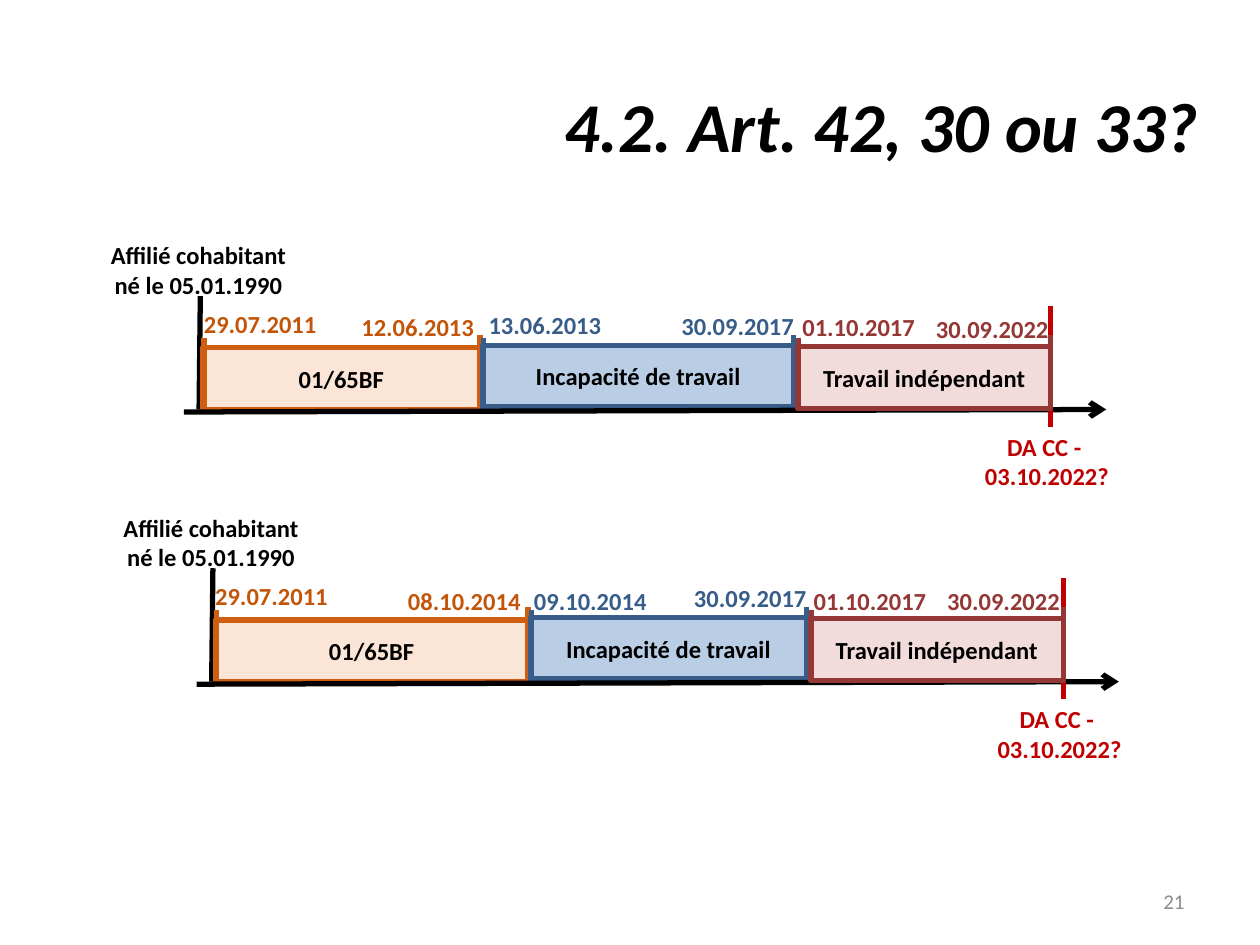
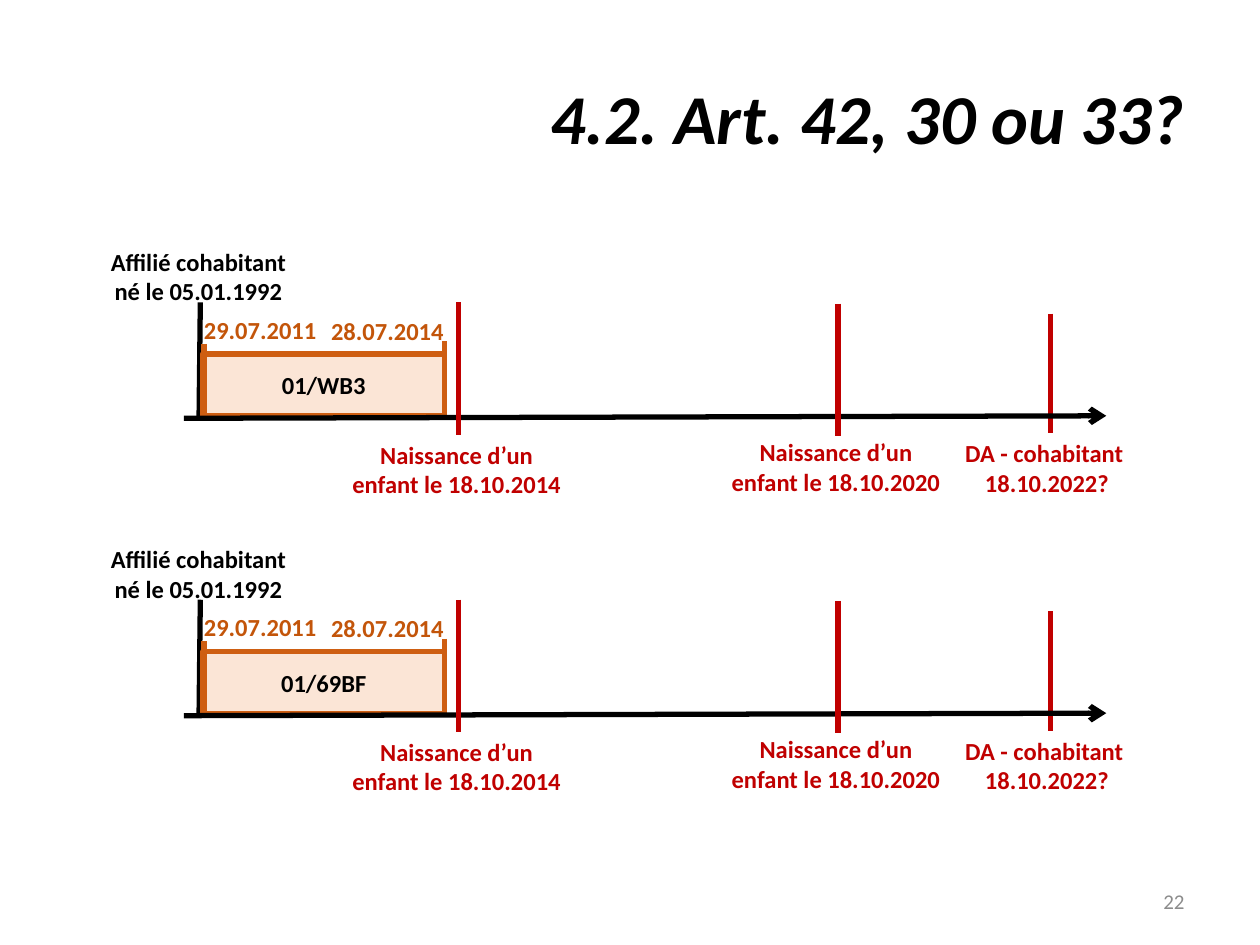
from lxml import etree
from pptx import Presentation
from pptx.dml.color import RGBColor
from pptx.enum.shapes import MSO_CONNECTOR as CONNECTOR, MSO_SHAPE as SHAPE
from pptx.enum.text import MSO_ANCHOR as ANCHOR, MSO_AUTO_SIZE as AUTO_SIZE, PP_ALIGN as ALIGN
from pptx.oxml.ns import qn
from pptx.util import Inches, Pt

COLORS = {
    "black": "000000", "alert": "C00000", "number": "8C8C8C",
    "benefit_fill": "FBE5D6", "benefit_line": "CE5E12", "benefit_date": "C3550A",
    "illness_fill": "B9CDE5", "illness_line": "385D8A", "illness_date": "385D8A",
    "work_fill": "F2DCDB", "work_line": "953735", "work_date": "953735",
}
LABEL = {"name": "Calibri", "size": Pt(14), "bold": True}
TITLE = {"name": "Calibri", "size": Pt(40), "bold": True, "italic": True}
NUMBER = {"name": "Calibri", "size": Pt(12)}
BAR_HEIGHT, TICK_HEIGHT = 0.49, 0.57
START_TICK_TOP, END_TICK_TOP = 2.68, 2.66


def write_text(shape, text, color="black", font=LABEL, align=ALIGN.CENTER, anchor=ANCHOR.MIDDLE):
    frame = shape.text_frame
    frame.text = text
    frame.word_wrap = True
    frame.vertical_anchor = anchor
    for paragraph in frame.paragraphs:
        paragraph.alignment = align
        for name, value in font.items():
            setattr(paragraph.font, name, value)
        paragraph.font.color.rgb = RGBColor.from_string(COLORS[color])
    return frame


def add_line(shapes, start, end, color):
    line = shapes.add_connector(CONNECTOR.STRAIGHT, *(Inches(value) for value in (*start, *end)))
    line.line.color.rgb = RGBColor.from_string(COLORS[color])
    line.line.width = Pt(3)
    etree.SubElement(line._element.spPr, qn("a:effectLst"))
    return line


work = ("work", "Travail indépendant", 6.33, 2.01, 2.75)
claim = ("DA CC - \n03.10.2022?", 8.34, 2.43, 3.39, 7.28, 3.38, 2.06)
births = [
    ("Naissance d’un enfant le 18.10.2014", 3.64, 2.35, 3.40, 2.66, 3.39, 1.93),
    ("Naissance d’un enfant le 18.10.2020", 6.65, 2.36, 3.41, 5.67, 3.37, 1.93),
]
cohabitant = ("DA - cohabitant \n18.10.2022?", 8.34, 2.44, 3.39, 7.28, 3.38, 2.06)
benefit_dates = [("29.07.2011", 1.47, 2.40), ("28.07.2014", 2.48, 2.41)]

slides = [
    {"number": "21", "title_at": (0.61, 0.36), "birth": "05.01.1990", "timelines": [
        {"offset": (0, 0), "events_below": [], "events_above": [claim], "periods": [
            (("benefit", "01/65BF", 1.61, 2.2, 2.76),
             [("29.07.2011", 1.47, 2.40), ("12.06.2013", 2.72, 2.43)]),
            (("illness", "Incapacité de travail", 3.83, 2.47, 2.74),
             [("13.06.2013", 3.73, 2.41), ("30.09.2017", 5.26, 2.42)]),
            (work, [("01.10.2017", 6.22, 2.43), ("30.09.2022", 7.28, 2.44)]),
        ]},
        {"offset": (0.1, 2.16), "events_below": [], "events_above": [claim], "periods": [
            (("benefit", "01/65BF", 1.61, 2.48, 2.76),
             [("29.07.2011", 1.46, 2.40), ("08.10.2014", 2.99, 2.44)]),
            (("illness", "Incapacité de travail", 4.11, 2.19, 2.74),
             [("09.10.2014", 3.99, 2.44), ("30.09.2017", 5.26, 2.42)]),
            (work, [("01.10.2017", 6.21, 2.44), ("30.09.2022", 7.27, 2.44)]),
        ]},
    ]},
    {"number": "22", "title_at": (0.5, 0.3), "birth": "05.01.1992", "timelines": [
        {"offset": (0, top), "events_below": [cohabitant], "events_above": births,
         "periods": [(("benefit", code, 1.61, 1.92, 2.76), benefit_dates)]}
        for top, code in ((0.05, "01/WB3"), (2.41, "01/69BF"))
    ]},
]

presentation = Presentation()
presentation.slide_width, presentation.slide_height = Inches(10), Inches(7.5)

for content in slides:
    slide = presentation.slides.add_slide(presentation.slide_layouts[5])
    title = slide.shapes.title
    title.left, title.top = (Inches(value) for value in content["title_at"])
    title.width, title.height = Inches(9), Inches(1.25)
    write_text(title, "4.2. Art. 42, 30 ou 33?", font=TITLE, align=ALIGN.RIGHT)
    number = slide.shapes.add_textbox(Inches(7.17), Inches(6.95), Inches(2.33), Inches(0.4))
    write_text(number, content["number"], "number", NUMBER, ALIGN.RIGHT)

    for timeline in content["timelines"]:
        shapes = slide.shapes.add_group_shape().shapes
        x, y = timeline["offset"]
        periods = timeline["periods"]
        labels = [(f"Affilié cohabitant\nné le {content['birth']}", 0.67, 1.86, 1.81, 0.57, "black")]
        add_line(shapes, (x + 1.59, y + 2.35), (x + 1.58, y + 3.25), "black")

        layers = [("event", event) for event in timeline["events_below"]]
        layers += [("period", period) for period in periods[:2]]
        layers += [("axis", None)]
        layers += [("event", event) for event in timeline["events_above"]]
        layers += [("period", period) for period in periods[2:]]

        for kind, item in layers:
            if kind == "axis":
                axis = add_line(shapes, (x + 1.46, y + 3.27), (x + 8.78, y + 3.25), "black")
                etree.SubElement(axis.line._get_or_add_ln(), qn("a:tailEnd"), type="arrow")
            elif kind == "event":
                text, line_x, line_top, line_bottom, left, top, width = item
                add_line(shapes, (x + line_x, y + line_top), (x + line_x, y + line_bottom), "alert")
                labels.append((text, left, top, width, 0.57, "alert"))
            else:
                (status, text, left, width, top), dates = item
                bar = shapes.add_shape(SHAPE.RECTANGLE, Inches(x + left), Inches(y + top),
                                       Inches(width), Inches(BAR_HEIGHT))
                bar.shadow.inherit = False
                bar.fill.solid()
                bar.fill.fore_color.rgb = RGBColor.from_string(COLORS[f"{status}_fill"])
                bar.line.color.rgb = RGBColor.from_string(COLORS[f"{status}_line"])
                bar.line.width = Pt(3)
                write_text(bar, text)
                for tick_x, tick_top in ((left + 0.01, START_TICK_TOP), (left + width, END_TICK_TOP)):
                    add_line(shapes, (x + tick_x, y + tick_top),
                             (x + tick_x, y + tick_top + TICK_HEIGHT), f"{status}_line")
                labels += [(*date, 1.19, 0.34, f"{status}_date") for date in dates]

        for text, left, top, width, height, color in labels:
            box = shapes.add_textbox(Inches(x + left), Inches(y + top), Inches(width), Inches(height))
            frame = write_text(box, text, color, anchor=ANCHOR.TOP)
            frame.auto_size = AUTO_SIZE.SHAPE_TO_FIT_TEXT

presentation.save("out.pptx")
